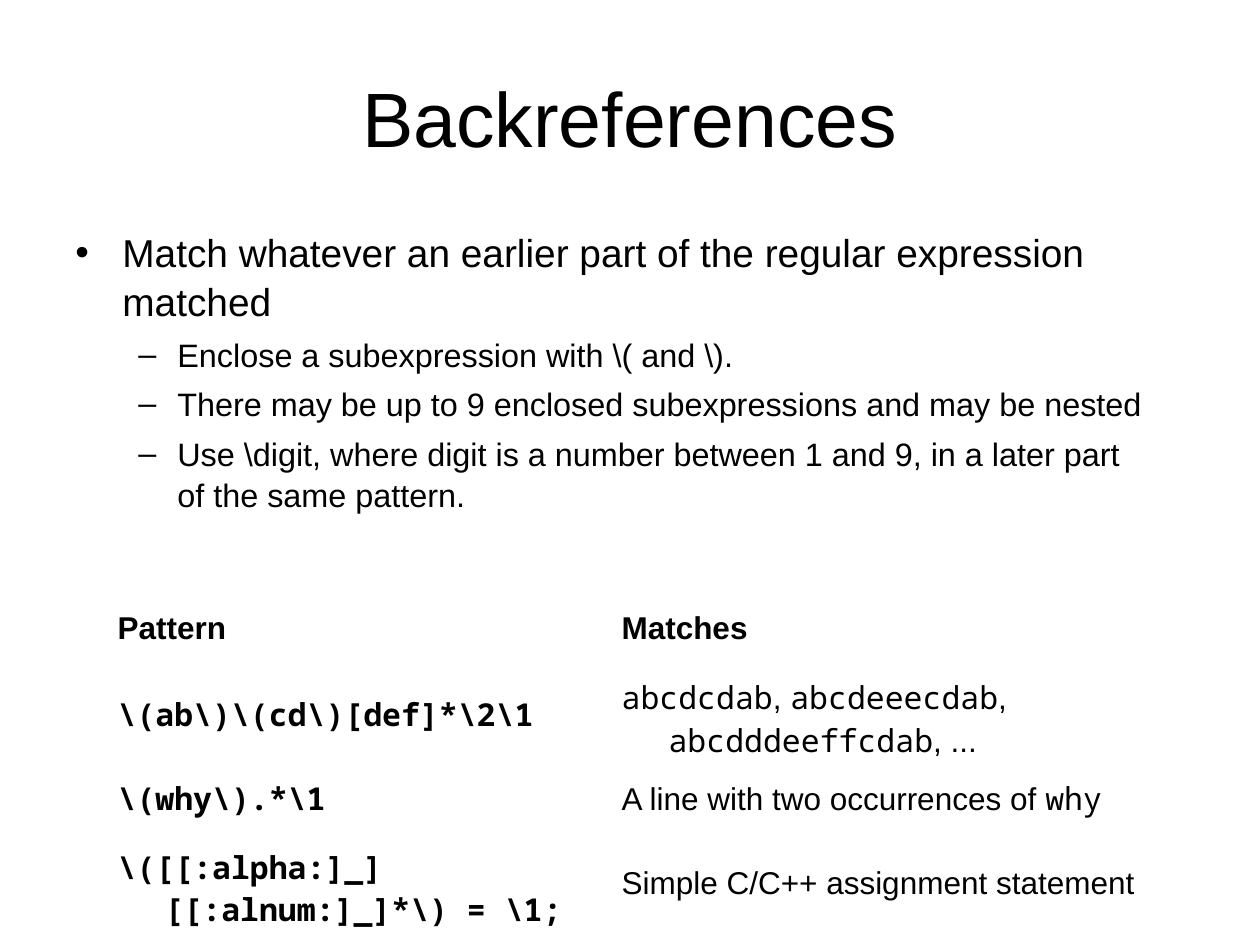
from dataclasses import dataclass

from lxml.etree import SubElement
from pptx import Presentation
from pptx.dml.color import RGBColor
from pptx.enum.text import MSO_ANCHOR, PP_ALIGN
from pptx.oxml.ns import qn
from pptx.util import Pt


@dataclass(frozen=True)
class Theme:
    ink: RGBColor = RGBColor(0, 0, 0)
    sans: str = "Arial"
    mono: str = "Noto Sans Mono"
    title: float = 44
    point: float = 22.2
    detail: float = 18.5
    cell: float = 18


THEME = Theme()
TITLE = "Backreferences"
POINTS = [
    (0, "Match whatever an earlier part of the regular expression matched"),
    (1, r"Enclose a subexpression with \( and \)."),
    (1, "There may be up to 9 enclosed subexpressions and may be nested"),
    (1, r"Use \digit, where digit is a number between 1 and 9, in a later part of the same pattern."),
]
LEVELS = [
    {"bullet": "•", "margin": 47, "hang": 47, "size": THEME.point, "before": 0},
    {"bullet": "–", "margin": 102, "hang": 39, "size": THEME.detail, "before": 5},
]
HEADERS = ["Pattern", "Matches"]
EXAMPLES = [
    (r"\(ab\)\(cd\)[def]*\2\1",
     [("abcdcdab", THEME.mono), (", ", THEME.sans), ("abcdeeecdab", THEME.mono),
      (", ", THEME.sans), ("abcdddeeffcdab", THEME.mono), (", ...", THEME.sans)]),
    (r"\(why\).*\1",
     [("A line with two occurrences of ", THEME.sans), ("why", THEME.mono)]),
    (r"\([[:alpha:]_][[:alnum:]_]*\) = \1;",
     [("Simple C/C++ assignment statement", THEME.sans)]),
]
SLIDE_SIZE = (1260, 945)
TITLE_BOX = (63, 38, 1134, 157)
BODY_BOX = (63, 220, 1102, 337)
TABLE_ORIGIN = (105, 588)
COLUMN_WIDTHS = [504, 567]
ROW_HEIGHTS = [82, 88, 81, 81]
CELL_HANG = 47


def px(length):
    return round(length * 914400 / 126)


def add_run(paragraph, text, size, name=THEME.sans, bold=False):
    run = paragraph.add_run()
    run.text = text
    run.font.size = Pt(size)
    run.font.name = name
    run.font.bold = bold
    run.font.color.rgb = THEME.ink


def set_hang(paragraph, margin, hang):
    properties = paragraph._p.get_or_add_pPr()
    properties.set("marL", str(px(margin)))
    properties.set("indent", str(-px(hang)))
    return properties


def add_text_frame(slide, box):
    text_frame = slide.shapes.add_textbox(*map(px, box)).text_frame
    text_frame.word_wrap = True
    return text_frame


def add_title(slide):
    text_frame = add_text_frame(slide, TITLE_BOX)
    text_frame.vertical_anchor = MSO_ANCHOR.MIDDLE
    paragraph = text_frame.paragraphs[0]
    paragraph.alignment = PP_ALIGN.CENTER
    add_run(paragraph, TITLE, THEME.title)


def add_points(slide):
    text_frame = add_text_frame(slide, BODY_BOX)
    for index, (depth, text) in enumerate(POINTS):
        level = LEVELS[depth]
        paragraph = text_frame.add_paragraph() if index else text_frame.paragraphs[0]
        paragraph.level = depth
        paragraph.line_spacing = 1.05
        paragraph.space_before = Pt(level["before"])
        properties = set_hang(paragraph, level["margin"], level["hang"])
        SubElement(properties, qn("a:buFont"), typeface=THEME.sans)
        SubElement(properties, qn("a:buChar"), char=level["bullet"])
        add_run(paragraph, text, level["size"])


def add_examples(slide):
    rows = [[[(header, THEME.sans, True)] for header in HEADERS]]
    for pattern, matches in EXAMPLES:
        rows.append([[(pattern, THEME.mono, True)],
                     [(text, name, False) for text, name in matches]])
    size = (sum(COLUMN_WIDTHS), sum(ROW_HEIGHTS))
    table = slide.shapes.add_table(
        len(rows), len(HEADERS), *map(px, TABLE_ORIGIN + size)).table
    table.first_row = table.horz_banding = False
    for column, width in zip(table.columns, COLUMN_WIDTHS):
        column.width = px(width)
    for row, height, contents in zip(table.rows, ROW_HEIGHTS, rows):
        row.height = px(height)
        for cell, runs in zip(row.cells, contents):
            cell.fill.background()
            cell.vertical_anchor = MSO_ANCHOR.MIDDLE
            paragraph = cell.text_frame.paragraphs[0]
            set_hang(paragraph, CELL_HANG, CELL_HANG)
            for text, name, bold in runs:
                add_run(paragraph, text, THEME.cell, name, bold)


def main():
    presentation = Presentation()
    presentation.slide_width, presentation.slide_height = map(px, SLIDE_SIZE)
    slide = presentation.slides.add_slide(presentation.slide_layouts[6])
    add_title(slide)
    add_points(slide)
    add_examples(slide)
    presentation.save("out.pptx")


if __name__ == "__main__":
    main()
